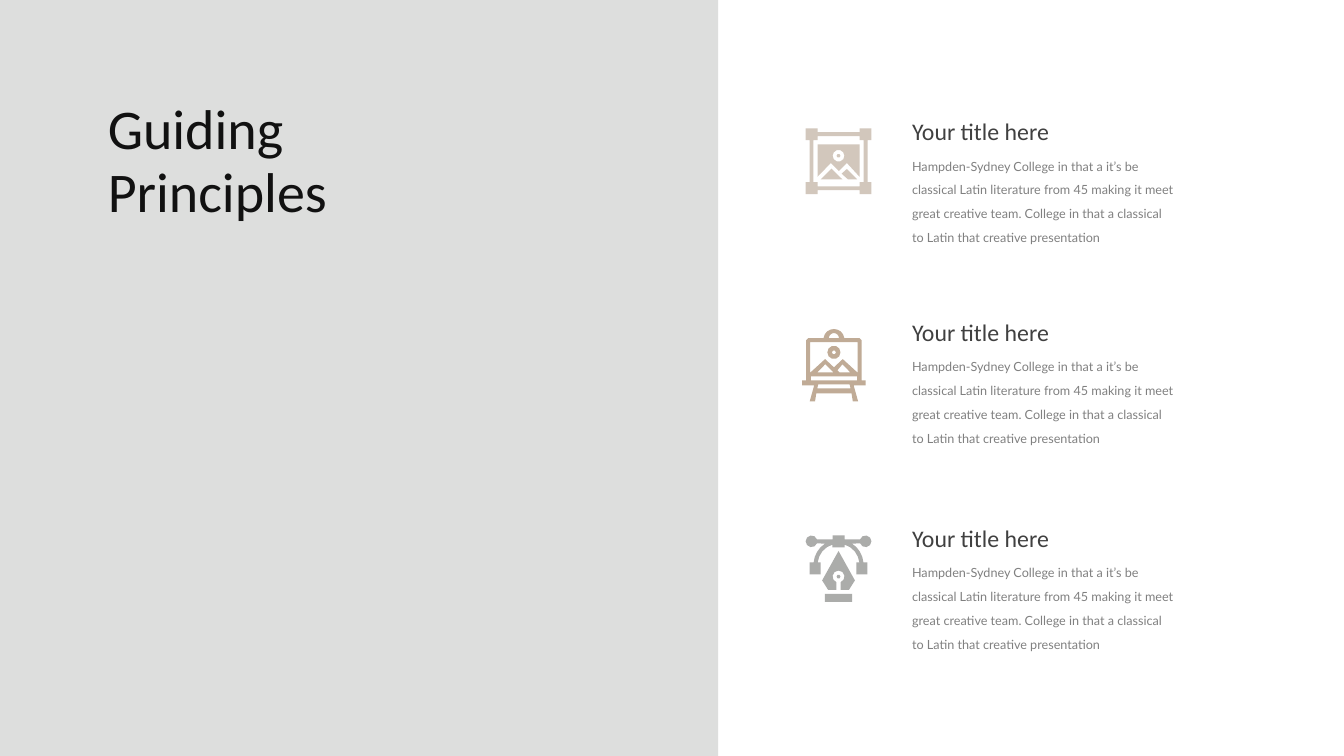
from dataclasses import dataclass
from math import cos, radians, sin

from pptx import Presentation, util as u
from pptx.dml.color import RGBColor
from pptx.enum import shapes, text


# Theme: colours and type sizes
@dataclass(frozen=True)
class Theme:
    panel: str = "DDDEDD"
    ink: str = "111111"
    heading: str = "404040"
    body: str = "808080"
    sand: str = "D2C7BC"
    tan: str = "C0AB96"
    grey: str = "ABACAA"
    title_size: float = 40
    heading_size: float = 17
    body_size: float = 9
    title_font: str = "Calibri"
    body_font: str = "Lato"


# Outline geometry, in points from the icon's top left corner
def arc(x, y, radius, start, end, steps=4):
    angles = [radians(start + (end - start) * i / steps) for i in range(steps + 1)]
    return [(x + radius * cos(a), y + radius * sin(a)) for a in angles]


def circle(x, y, radius, corners=10):
    return arc(x, y, radius, 0, 360, corners)[:-1]


def mirrored(half, axis):
    return half + [(2 * axis - x, y) for x, y in reversed(half) if x != axis]


def four_sides(side, size):
    outline = []
    for _ in range(4):
        outline += side
        side = [(size - y, x) for x, y in side]
    return outline


def picture_frame():
    size = 47
    border = [(2.8, 8.5), (0, 8.5), (0, 0), (8.5, 0), (8.5, 2.8)]
    opening = [(5.6, 8.5), (8.5, 8.5), (8.5, 5.6)]
    sky = [(8.5, 34.6), (8.5, 11.5), (38.5, 11.5), (38.5, 34.6),
           (29.5, 24.8), (23.8, 30.5), (18, 24.8)]
    return [
        four_sides(border, size),
        four_sides(opening, size),
        sky,
        circle(23.5, 19.6, 4.2),
        circle(23.5, 19.6, 1.4, 6),
        [(25.7, 32.4), (30.2, 36.4), (36.8, 36.4), (29.5, 29)],
        [(10.8, 36.4), (26.2, 36.4), (18.5, 28.8)],
    ]


def easel():
    axis = 22.7
    stand = arc(axis, 7.5, 7.5, 270, 188) + [
        (4.5, 6.5), (2.9, 8.1), (2.9, 36.7), (0, 36.7), (0, 40.3), (8.6, 40.3),
        (5.4, 51.8), (9.2, 51.8), (10.1, 46.1)]
    canvas = [(axis, 27.4), (16.4, 21.5), (5.8, 31.2), (5.8, 9.4)]
    return [
        mirrored(stand, axis),
        mirrored(arc(axis, 6.5, 3.6, 270, 180), axis),
        mirrored(canvas, axis),
        circle(axis, 16.7, 4.7),
        circle(axis, 16.7, 1.5, 6),
        [(34.4, 31), (26.6, 31), (25.2, 29.5), (28.8, 25.2)],
        [(22.5, 31), (10.8, 31), (16.5, 25.2)],
        mirrored([(6.2, 33.8), (6.2, 36.7)], axis),
        mirrored([(11.5, 39.6), (10.8, 42.5)], axis),
    ]


def pen_tool():
    axis = 23.5
    handles = [(19.2, 0), (19.2, 2.9)]
    handles += arc(4.2, 4.3, 4.2, 340, 20, 8)
    handles += arc(axis, 21, 17.9, 237, 185)
    handles += [(2.9, 19.4), (2.9, 28), (10.8, 28), (10.8, 19.4)]
    handles += arc(axis, 21, 15, 186, 253)
    handles += [(19.2, 8.6)]
    nib = [(axis, 11.2), (11.8, 32.2), (16, 38.9), (22, 38.9)]
    nib += arc(axis, 29.5, 4.3, 110, 270)
    return [
        mirrored(handles, axis),
        mirrored(nib, axis),
        circle(axis, 29.5, 1.4, 6),
        mirrored([(13.7, 41.8), (13.7, 47.5)], axis),
    ]


def write_text(frame, lines, *, size, font, color, spacing=None):
    frame.word_wrap = True
    frame.vertical_anchor = text.MSO_ANCHOR.TOP
    frame.auto_size = text.MSO_AUTO_SIZE.SHAPE_TO_FIT_TEXT
    for i, line in enumerate(lines):
        para = frame.paragraphs[0] if i == 0 else frame.add_paragraph()
        para.alignment = text.PP_ALIGN.LEFT
        if spacing:
            para.line_spacing = u.Pt(spacing)
        span = para.add_run()
        span.text = line
        span.font.size = u.Pt(size)
        span.font.name = font
        span.font.color.rgb = RGBColor.from_string(color)


class SlideBuilder:
    def __init__(self, page, theme):
        self.page = page
        self.theme = theme

    def paint(self, shape, color):
        shape.shadow.inherit = False
        shape.fill.solid()
        shape.fill.fore_color.rgb = RGBColor.from_string(color)
        shape.line.fill.background()

    def panel(self, width, height):
        panel = self.page.shapes.add_shape(
            shapes.MSO_SHAPE.RECTANGLE, 0, 0, u.Pt(width), u.Pt(height))
        self.paint(panel, self.theme.panel)
        self.page.shapes.title.element.addprevious(panel.element)

    def title(self, lines, left, top, width, height):
        box = self.page.shapes.title
        box.left, box.top = u.Pt(left), u.Pt(top)
        box.width, box.height = u.Pt(width), u.Pt(height)
        write_text(box.text_frame, lines, size=self.theme.title_size,
                   font=self.theme.title_font, color=self.theme.ink, spacing=45)

    def text_box(self, lines, left, top, width, height, **style):
        box = self.page.shapes.add_textbox(
            u.Pt(left), u.Pt(top), u.Pt(width), u.Pt(height))
        write_text(box.text_frame, lines, **style)

    def icon(self, outlines, left, top, color):
        tenths = [[(x * 10, y * 10) for x, y in outline] for outline in outlines]
        builder = self.page.shapes.build_freeform(*tenths[0][0], scale=u.Pt(0.1))
        builder.add_line_segments(tenths[0][1:], close=True)
        for outline in tenths[1:]:
            builder.move_to(*outline[0])
            builder.add_line_segments(outline[1:], close=True)
        self.paint(builder.convert_to_shape(u.Pt(left), u.Pt(top)), color)

    def principle(self, heading, lines, top):
        theme = self.theme
        self.text_box([heading], 644.4, top, 207.4, 28, size=theme.heading_size,
                      font=theme.title_font, color=theme.heading)
        self.text_box(lines, 644.4, top + 23.5, 207.4, 73.4, size=theme.body_size,
                      font=theme.body_font, color=theme.body, spacing=17)


def main():
    theme = Theme()
    deck = Presentation()
    deck.slide_width, deck.slide_height = u.Pt(960), u.Pt(540)
    slide = SlideBuilder(deck.slides.add_slide(deck.slide_layouts[5]), theme)

    # Left panel and title
    slide.panel(513, 540)
    slide.title(["Guiding", "Principles"], 69.8, 66.2, 315.4, 97.9)

    # Three principles, each with its icon
    description = [
        "Hampden-Sydney College in that a it’s be",
        "classical Latin literature from 45 making it meet great creative team. "
        "College in that a classical",
        "to Latin that creative presentation",
    ]
    rows = [
        (79.9, picture_frame(), 575.5, theme.sand),
        (223.2, easel(), 573, theme.tan),
        (370.6, pen_tool(), 575.5, theme.grey),
    ]
    for top, outlines, icon_left, color in rows:
        slide.icon(outlines, icon_left, top + 11.8, color)
        slide.principle("Your title here", description, top)

    deck.save("out.pptx")


if __name__ == "__main__":
    main()
